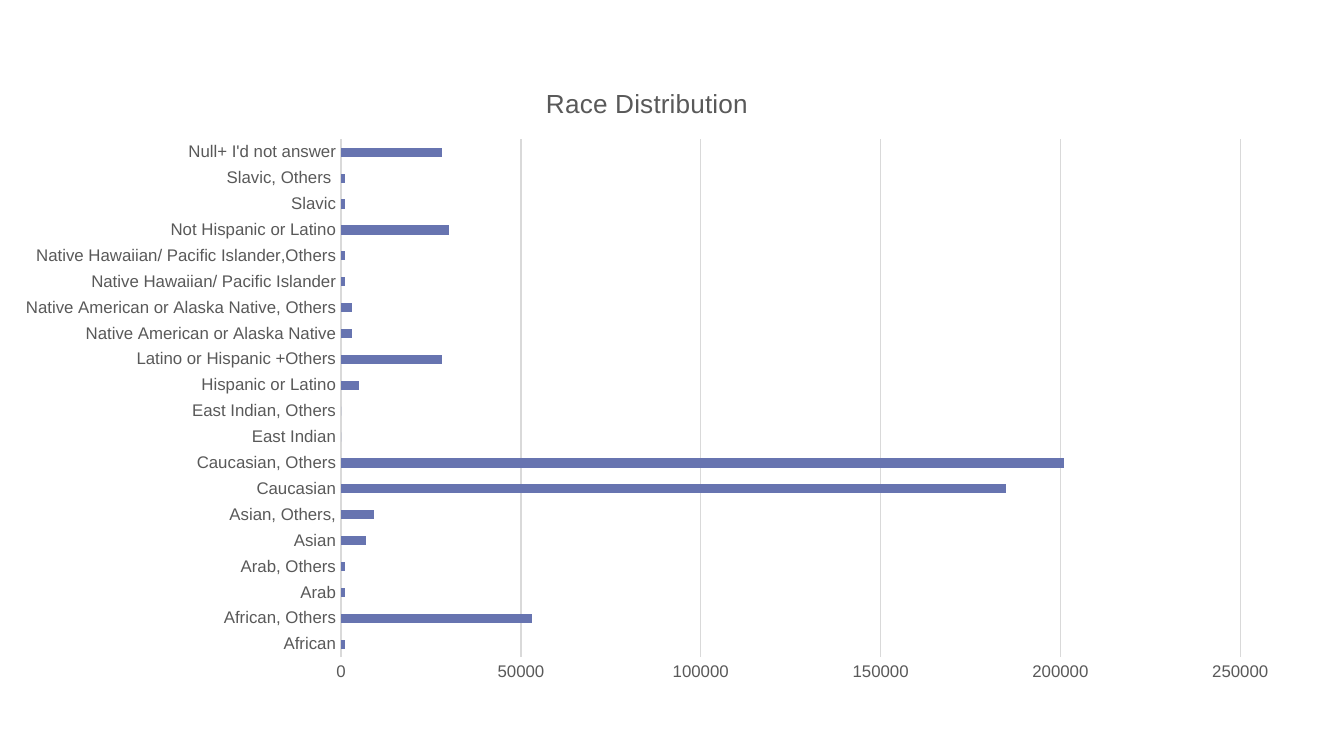
from typing import NamedTuple

from pptx import Presentation
from pptx.chart.axis import CategoryAxis, ValueAxis
from pptx.chart.chart import Chart
from pptx.chart.data import CategoryChartData
from pptx.dml.color import RGBColor
from pptx.dml.line import LineFormat
from pptx.enum.chart import XL_CHART_TYPE, XL_TICK_MARK
from pptx.slide import Slide
from pptx.text.text import Font
from pptx.util import Inches, Pt

BLACK = RGBColor(0x00, 0x00, 0x00)
GREY_TEXT = RGBColor(0x59, 0x59, 0x59)
GREY_LINE = RGBColor(0xD9, 0xD9, 0xD9)
BAR_BLUE = RGBColor(0x67, 0x74, 0xB0)


class RaceCount(NamedTuple):
    label: str
    people: int


RACE_COUNTS = [
    RaceCount("African", 1000),
    RaceCount("African, Others", 53000),
    RaceCount("Arab", 1000),
    RaceCount("Arab, Others", 1000),
    RaceCount("Asian", 7000),
    RaceCount("Asian, Others,", 9000),
    RaceCount("Caucasian", 185000),
    RaceCount("Caucasian, Others", 201000),
    RaceCount("East Indian", 0),
    RaceCount("East Indian, Others", 0),
    RaceCount("Hispanic or Latino", 5000),
    RaceCount("Latino or Hispanic +Others", 28000),
    RaceCount("Native American or Alaska Native", 3000),
    RaceCount("Native American or Alaska Native, Others", 3000),
    RaceCount("Native Hawaiian/ Pacific Islander", 1000),
    RaceCount("Native Hawaiian/ Pacific Islander,Others", 1000),
    RaceCount("Not Hispanic or Latino", 30000),
    RaceCount("Slavic", 1000),
    RaceCount("Slavic, Others ", 1000),
    RaceCount("Null+ I'd not answer", 28000),
]


def style_font(font: Font, size: float, color: RGBColor) -> None:
    font.name = "Arial"
    font.size = Pt(size)
    font.bold = False
    font.color.rgb = color


def style_line(line: LineFormat) -> None:
    line.color.rgb = GREY_LINE
    line.width = Pt(0.75)


def style_axis(axis: CategoryAxis | ValueAxis) -> None:
    axis.major_tick_mark = XL_TICK_MARK.NONE
    axis.minor_tick_mark = XL_TICK_MARK.NONE
    style_font(axis.tick_labels.font, 9, GREY_TEXT)


def add_race_chart(page: Slide, counts: list[RaceCount]) -> Chart:
    data = CategoryChartData(number_format="General")
    data.categories = [count.label for count in counts]
    data.add_series("Series 1", [count.people for count in counts])
    frame = page.shapes.add_chart(
        XL_CHART_TYPE.BAR_CLUSTERED,
        Inches(0), Inches(0.46), Inches(9.63), Inches(4.71), data,
    )
    return frame.chart


def style_race_chart(chart: Chart) -> None:
    style_font(chart.font, 10, BLACK)
    chart.has_legend = False
    chart.has_title = True
    chart.chart_title.include_in_layout = False
    para = chart.chart_title.text_frame.paragraphs[0]
    para.text = "Race Distribution"
    style_font(para.font, 14, GREY_TEXT)
    style_font(para.runs[0].font, 14, GREY_TEXT)

    style_axis(chart.category_axis)
    style_line(chart.category_axis.format.line)

    value_axis = chart.value_axis
    style_axis(value_axis)
    value_axis.minimum_scale = 0
    value_axis.maximum_scale = 250000
    value_axis.major_unit = 50000
    value_axis.format.line.fill.background()
    value_axis.has_major_gridlines = True
    style_line(value_axis.major_gridlines.format.line)

    plot = chart.plots[0]
    plot.gap_width = 182
    plot.vary_by_categories = False
    bar_fill = plot.series[0].format.fill
    bar_fill.solid()
    bar_fill.fore_color.rgb = BAR_BLUE


def main() -> None:
    deck = Presentation()
    deck.slide_width = Inches(10)
    deck.slide_height = deck.slide_width * 9 // 16
    page = deck.slides.add_slide(deck.slide_layouts[6])
    style_race_chart(add_race_chart(page, RACE_COUNTS))
    deck.save("out.pptx")


if __name__ == "__main__":
    main()
